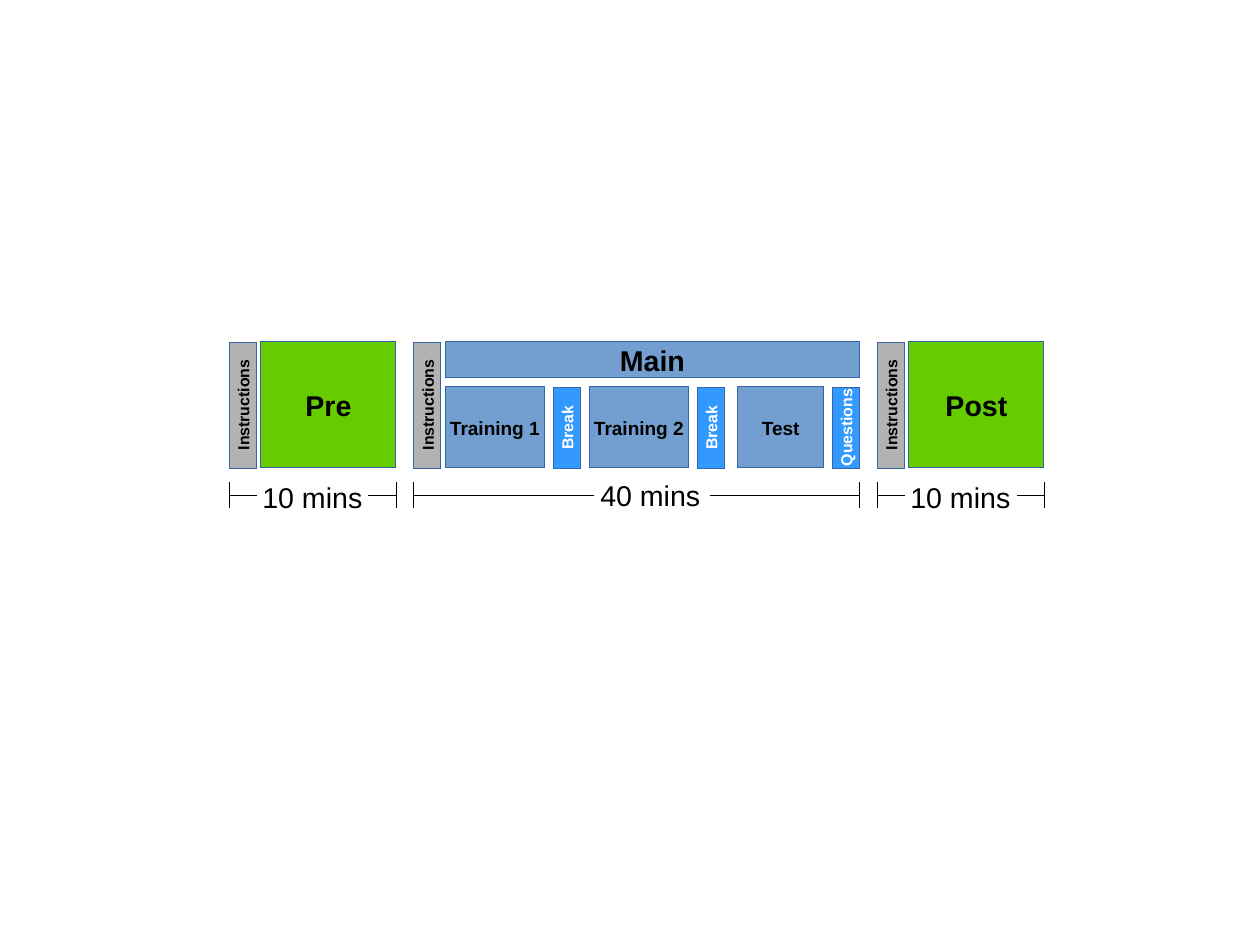
from dataclasses import dataclass

from lxml import etree
from pptx import Presentation
from pptx.dml.color import RGBColor
from pptx.enum.shapes import MSO_CONNECTOR as CONN, MSO_SHAPE as SHAPE
from pptx.enum.text import MSO_ANCHOR as ANCHOR, MSO_AUTO_SIZE as AUTO, PP_ALIGN as ALIGN
from pptx.oxml.ns import qn
from pptx.util import Cm, Pt

FONT = "Arial"
GREEN, BLUE, GRAY, BRIGHT = "66CC00", "729FCF", "B2B2B2", "3399FF"
BLACK, WHITE, OUTLINE = "000000", "FFFFFF", "3465A4"
HAIRLINE = Pt(0.01)  # a width of exactly 0 would fall back to the theme's line
TOP, HEIGHT = 7.6, 2.8
ROW_TOP, ROW_HEIGHT = 8.6, 1.8
STRIP_WIDTH = 0.6
AXIS_Y, TICK = 11.0, 0.28


@dataclass
class Block:
    """A labelled rectangle, in cm as seen on the slide."""
    text: str
    left: float
    top: float
    width: float
    height: float
    fill: str
    size: int
    color: str = BLACK
    upright: bool = False


@dataclass
class Duration:
    """A dimension line from start to end, open between gap_start and gap_end."""
    text: str
    start: float
    gap_start: float
    gap_end: float
    end: float
    text_left: float
    text_top: float


def instructions(left: float) -> Block:
    return Block("Instructions", left, TOP, STRIP_WIDTH, HEIGHT, GRAY, 10, upright=True)


def phase(text: str, left: float) -> Block:
    return Block(text, left, TOP, 3, HEIGHT, GREEN, 18)


def step(text: str, left: float, width: float) -> Block:
    return Block(text, left, ROW_TOP, width, ROW_HEIGHT, BLUE, 12)


def interlude(text: str, left: float) -> Block:
    return Block(text, left, ROW_TOP, STRIP_WIDTH, ROW_HEIGHT, BRIGHT, 10, WHITE, True)


BLOCKS = [
    instructions(5.1), phase("Pre", 5.8),
    instructions(9.2), Block("Main", 9.9, TOP, 9.2, 0.8, BLUE, 18),
    step("Training 1", 9.9, 2.2), interlude("Break", 12.3),
    step("Training 2", 13.1, 2.2), interlude("Break", 15.5),
    step("Test", 16.4, 1.9), interlude("Questions", 18.5),
    instructions(19.5), phase("Post", 20.2),
]
DURATIONS = [
    Duration("10 mins", 5.1, 5.7, 8.2, 8.8, 5.58, 10.54),
    Duration("40 mins", 9.2, 13.2, 15.8, 19.1, 13.09, 10.49),
    Duration("10 mins", 19.5, 20.1, 22.6, 23.2, 19.98, 10.54),
]


def rgb(value: str) -> RGBColor:
    return RGBColor.from_string(value)


def write(sp, text: str, size: int, color: str, bold: bool, align: ALIGN) -> None:
    tf = sp.text_frame
    tf.word_wrap = False
    p = tf.paragraphs[0]
    p.text = text
    p.alignment = align
    p.font.name, p.font.size, p.font.bold = FONT, Pt(size), bold
    p.font.color.rgb = rgb(color)


def draw_block(s, b: Block) -> None:
    w, h = (b.height, b.width) if b.upright else (b.width, b.height)
    left = b.left + (b.width - w) / 2
    top = b.top + (b.height - h) / 2
    sp = s.shapes.add_shape(SHAPE.RECTANGLE, Cm(left), Cm(top), Cm(w), Cm(h))
    sp.rotation = 270 if b.upright else 0
    sp.shadow.inherit = False
    sp.fill.solid()
    sp.fill.fore_color.rgb = rgb(b.fill)
    sp.line.color.rgb = rgb(OUTLINE)
    sp.line.width = HAIRLINE
    sp.text_frame.vertical_anchor = ANCHOR.MIDDLE
    write(sp, b.text, b.size, b.color, True, ALIGN.CENTER)


def draw_line(s, x1: float, y1: float, x2: float, y2: float) -> None:
    line = s.shapes.add_connector(CONN.STRAIGHT, Cm(x1), Cm(y1), Cm(x2), Cm(y2))
    line.line.color.rgb = rgb(BLACK)
    line.line.width = HAIRLINE
    etree.SubElement(line._element.spPr, qn("a:effectLst"))


def draw_duration(s, d: Duration) -> None:
    draw_line(s, d.start, AXIS_Y, d.gap_start, AXIS_Y)
    draw_line(s, d.gap_end, AXIS_Y, d.end, AXIS_Y)
    for x in (d.start, d.end):
        draw_line(s, x, AXIS_Y + TICK, x, AXIS_Y - TICK)
    sp = s.shapes.add_textbox(Cm(d.text_left), Cm(d.text_top), Cm(2.8), Cm(0.97))
    sp.text_frame.auto_size = AUTO.SHAPE_TO_FIT_TEXT
    write(sp, d.text, 18, BLACK, False, ALIGN.LEFT)


def main() -> None:
    prs = Presentation()
    prs.slide_width, prs.slide_height = Cm(28), Cm(21)
    s = prs.slides.add_slide(prs.slide_layouts[6])
    for block in BLOCKS:
        draw_block(s, block)
    for duration in DURATIONS:
        draw_duration(s, duration)
    prs.save("out.pptx")


if __name__ == "__main__":
    main()
